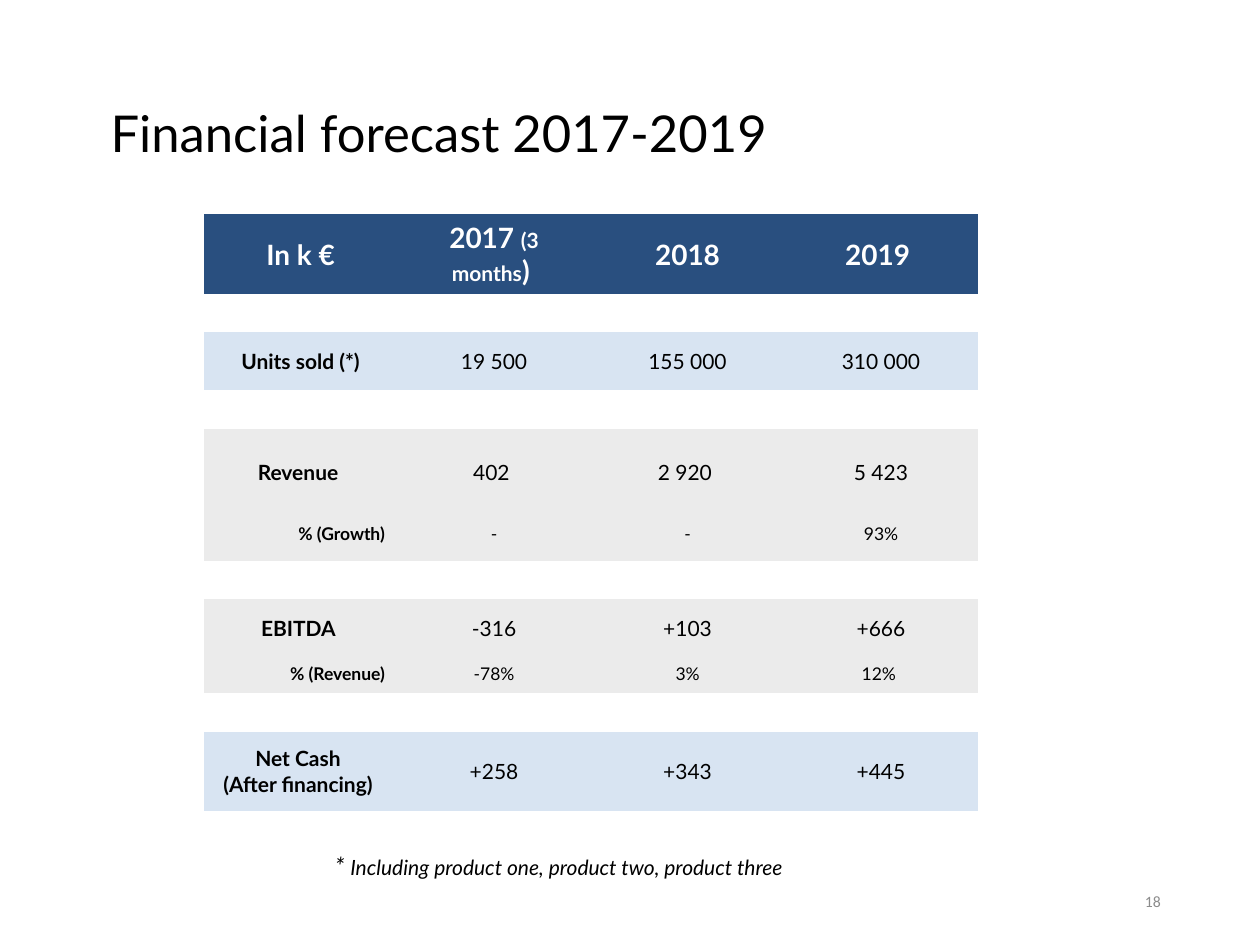
import pptx
import pptx.util
import pptx.dml.color
import pptx.enum.text
import lxml.etree

Cm = pptx.util.Cm
Pt = pptx.util.Pt
ALIGN = pptx.enum.text.PP_ALIGN
ANCHOR = pptx.enum.text.MSO_ANCHOR

NAVY, BLUE, GREY, WHITE, BLACK = "294F7F", "D8E4F2", "EBEBEB", "FFFFFF", "000000"


def color(value):
    return pptx.dml.color.RGBColor.from_string(value)


def style(paragraph, size, value, name="Lato", bold=False, align=ALIGN.LEFT):
    paragraph.alignment = align
    font = paragraph.font
    font.size, font.name, font.bold = Pt(size), name, bold
    font.color.rgb = color(value)


presentation = pptx.Presentation()
presentation.slide_width = Cm(25.4)
presentation.slide_height = Cm(19.05)
slide = presentation.slides.add_slide(presentation.slide_layouts[6])

title = slide.shapes.add_textbox(Cm(1.98), Cm(2.06), Cm(17.8), Cm(2.06))
title.text_frame.word_wrap = True
paragraph = title.text_frame.paragraphs[0]
paragraph.text = "Financial forecast 2017-2019"
paragraph.line_spacing = 0.9
style(paragraph, 29, BLACK)

gap = (0.77, WHITE, 0, None)
rows = [
    (1.6, NAVY, 16, ["In k €", ["2017 ", "(3 months", ") "], "2018", "2019 "]),
    gap,
    (1.17, BLUE, 12, ["Units sold (*)", "19 500", "155 000", "310 000"]),
    gap,
    (1.78, GREY, 12, ["Revenue ", "402 ", "2 920 ", "5 423"]),
    (0.89, GREY, 10, ["% (Growth)", "-", "-", "93%"]),
    gap,
    (1.17, GREY, 12, ["EBITDA ", "-316", "+103", "+666"]),
    (0.73, GREY, 10, ["% (Revenue)", "-78%", "3%", "12% "]),
    gap,
    (1.6, BLUE, 12, ["Net Cash \n(After financing) ", "+258", "+343", "+445"]),
]
height = sum(row[0] for row in rows)
frame = slide.shapes.add_table(len(rows), 4, Cm(4.11), Cm(4.32), Cm(15.6), Cm(height))
table = frame.table
table.first_row = table.horz_banding = False
table_style = frame._element.find(".//" + pptx.oxml.ns.qn("a:tableStyleId"))
table_style.text = "{2D5ABB26-0587-4C30-8999-92F81FD0307C}"
for column in table.columns:
    column.width = Cm(3.9)

for row_index, (row_height, fill, size, values) in enumerate(rows):
    table.rows[row_index].height = Cm(row_height)
    for column_index in range(4):
        cell = table.cell(row_index, column_index)
        cell.fill.solid()
        cell.fill.fore_color.rgb = color(fill)
        if values is None:
            cell.margin_top = cell.margin_bottom = 0
            end = lxml.etree.SubElement(
                cell.text_frame.paragraphs[0]._p, pptx.oxml.ns.qn("a:endParaRPr")
            )
            end.set("sz", "1000")
            continue
        minor = size == 10
        cell.vertical_anchor = ANCHOR.TOP if minor else ANCHOR.MIDDLE
        value = values[column_index]
        if isinstance(value, list):
            for part in value:
                cell.text_frame.paragraphs[0].add_run().text = part
            for run, run_size in zip(cell.text_frame.paragraphs[0].runs, (16, 12, 16)):
                run.font.size = Pt(run_size)
        else:
            cell.text = value
        header = fill == NAVY
        align = ALIGN.RIGHT if minor and column_index == 0 else ALIGN.CENTER
        for paragraph in cell.text_frame.paragraphs:
            style(paragraph, size, WHITE if header else BLACK,
                  bold=header or column_index == 0, align=align)

footnote = slide.shapes.add_textbox(Cm(6.5), Cm(17.04), Cm(11.3), Cm(1.37))
footnote.text_frame.word_wrap = True
paragraph = footnote.text_frame.paragraphs[0]
for text, size in (("* ", 14), ("Including product one, product two, product three", 12)):
    run = paragraph.add_run()
    run.text = text
    run.font.size = Pt(size)
style(paragraph, 12, BLACK)
paragraph.font.italic = True

number = slide.shapes.add_textbox(Cm(17.93), Cm(17.65), Cm(5.72), Cm(1.02))
number.text_frame.word_wrap = True
number.text_frame.vertical_anchor = ANCHOR.MIDDLE
paragraph = number.text_frame.paragraphs[0]
paragraph.text = "18"
style(paragraph, 9, "8C8C8C", name="Calibri", align=ALIGN.RIGHT)

presentation.save("out.pptx")
